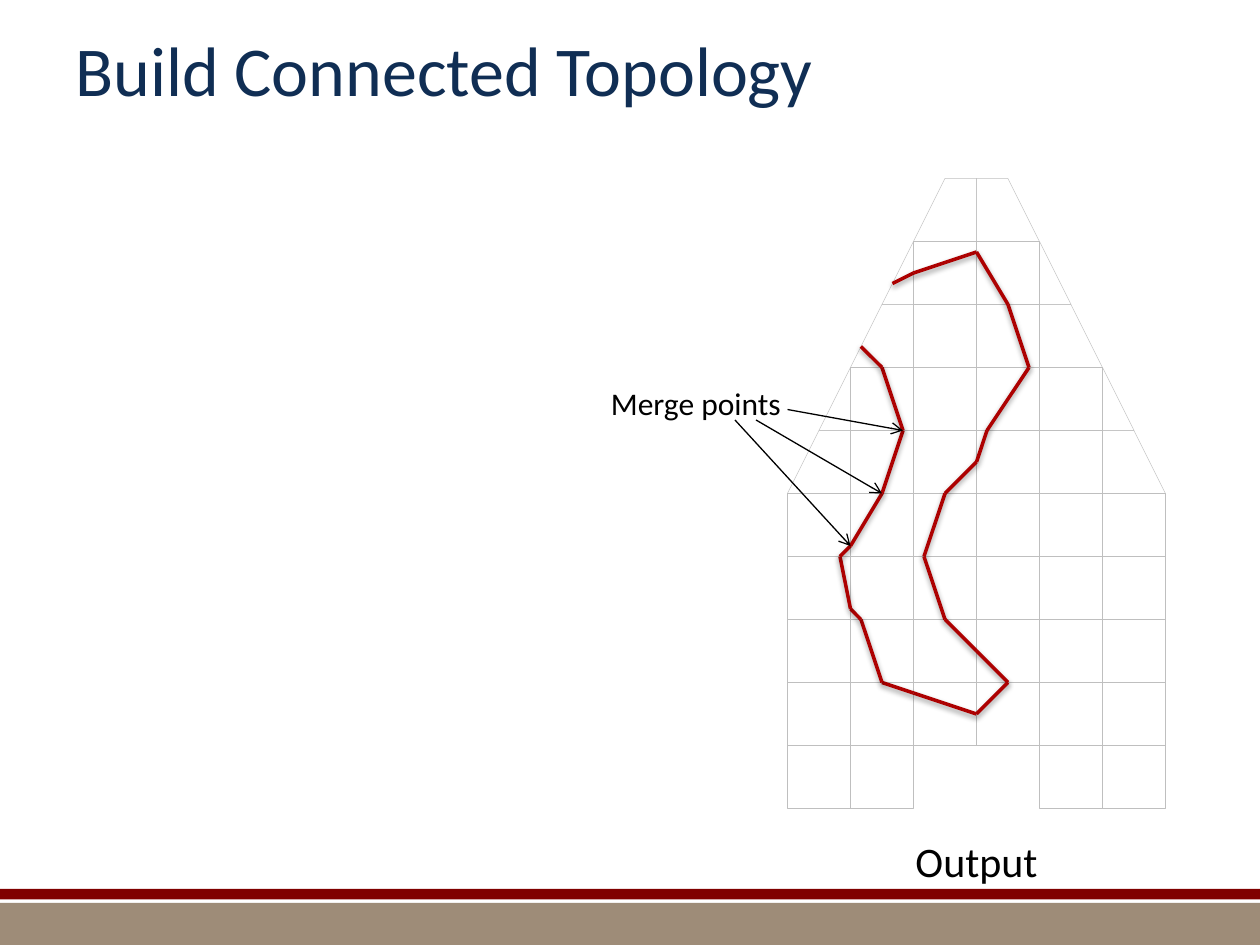
from itertools import pairwise

from lxml.etree import SubElement
from pptx import Presentation
from pptx.dml.color import RGBColor
from pptx.enum.shapes import MSO_CONNECTOR, MSO_SHAPE
from pptx.enum.text import MSO_ANCHOR, PP_ALIGN
from pptx.oxml.ns import qn
from pptx.util import Pt

FONT = "Calibri"
CENTER, TOP, CELL = 558, 102, 36
GRID_GREY = "BFBFBF"
RED = "AD0101"
BLACK = "000000"

SQUARE_ROWS = [range(1, 9), range(3, 10), range(5, 10)]
SLOPED_CELLS = [
    [(0, 0), (0, 1), (1, 1), (0.5, 0)],
    [(1, 1), (1, 2), (1.5, 2)],
    [(1, 2), (1, 3), (2, 3), (1.5, 2)],
    [(2, 3), (2, 4), (2.5, 4)],
    [(2, 4), (2, 5), (3, 5), (2.5, 4)],
]
CONTOUR = [
    (510, 162), (522, 156), (558, 144), (576, 174), (588, 210), (564, 246),
    (558, 264), (540, 282), (528, 318), (540, 354), (558, 372), (576, 390),
    (558, 408), (522, 396), (504, 390), (492, 354), (486, 348), (480, 318),
    (486, 312), (504, 282), (516, 246), (504, 210), (492, 198),
]
MERGE_ARROWS = [
    ((450, 234), (516, 246)),
    ((432, 240), (504, 282)),
    ((420, 240), (486, 312)),
]


def color(value):
    return RGBColor.from_string(value)


def add_text(page, text, left, top, width, height, size, fill=BLACK,
             align=PP_ALIGN.LEFT, anchor=MSO_ANCHOR.TOP, wrap=False):
    box = page.shapes.add_textbox(Pt(left), Pt(top), Pt(width), Pt(height))
    frame = box.text_frame
    frame.word_wrap = wrap
    frame.vertical_anchor = anchor
    para = frame.paragraphs[0]
    para.alignment = align
    span = para.add_run()
    span.text = text
    span.font.name = FONT
    span.font.size = Pt(size)
    span.font.color.rgb = color(fill)


def add_band(page, top, height, fill):
    band = page.shapes.add_shape(MSO_SHAPE.RECTANGLE, 0, Pt(top), Pt(720), Pt(height))
    band.shadow.inherit = False
    band.fill.solid()
    band.fill.fore_color.rgb = color(fill)
    band.line.fill.background()


def outline_cell(cell):
    cell.shadow.inherit = False
    cell.fill.background()
    cell.line.color.rgb = color(GRID_GREY)
    cell.line.width = Pt(0.25)


def add_square(shapes, left, top):
    outline_cell(shapes.add_shape(MSO_SHAPE.RECTANGLE, Pt(left), Pt(top), Pt(CELL), Pt(CELL)))


def add_sloped(shapes, corners):
    points = [(Pt(x), Pt(y)) for x, y in corners]
    builder = shapes.build_freeform(*points[0])
    builder.add_line_segments(points[1:], close=True)
    outline_cell(builder.convert_to_shape())


def add_half_grid(page, side):
    shapes = page.shapes.add_group_shape().shapes
    for column, rows in enumerate(SQUARE_ROWS):
        left = CENTER + CELL * (column if side > 0 else -column - 1)
        for row in rows:
            add_square(shapes, left, TOP + CELL * row)
    for corners in SLOPED_CELLS:
        add_sloped(shapes, [(CENTER + side * CELL * x, TOP + CELL * y) for x, y in corners])


def add_line(page, start, end, stroke, width, arrow=False, shadow=False):
    line = page.shapes.add_connector(
        MSO_CONNECTOR.STRAIGHT, *[Pt(value) for value in (*start, *end)])
    line.line.color.rgb = color(stroke)
    line.line.width = Pt(width)
    if arrow:
        SubElement(line.line._get_or_add_ln(), qn("a:tailEnd"), type="arrow")
    effects = SubElement(line._element.spPr, qn("a:effectLst"))
    if shadow:
        outer = SubElement(effects, qn("a:outerShdw"), blurRad="40000", dist="20000",
                           dir="5400000", rotWithShape="0")
        shade = SubElement(outer, qn("a:srgbClr"), val=BLACK)
        SubElement(shade, qn("a:alpha"), val="38000")


def main():
    deck = Presentation()
    deck.slide_width, deck.slide_height = Pt(720), Pt(540)
    page = deck.slides.add_slide(deck.slide_layouts[6])

    add_band(page, 516, 24, "9E8C78")
    add_band(page, 508, 6, "800000")
    add_text(page, "Build Connected Topology", 36, 0, 648, 78, 40, fill="102E54",
             anchor=MSO_ANCHOR.MIDDLE, wrap=True)

    for side in (1, -1):
        add_half_grid(page, side)
    add_text(page, "Output", 515.5, 474, 85, 36, 24, align=PP_ALIGN.CENTER)

    for start, end in pairwise(CONTOUR):
        add_line(page, start, end, RED, 2, shadow=True)

    add_text(page, "Merge points", 342, 216, 114, 29, 18)
    for start, end in MERGE_ARROWS:
        add_line(page, start, end, BLACK, 0.75, arrow=True)

    deck.save("out.pptx")


if __name__ == "__main__":
    main()
